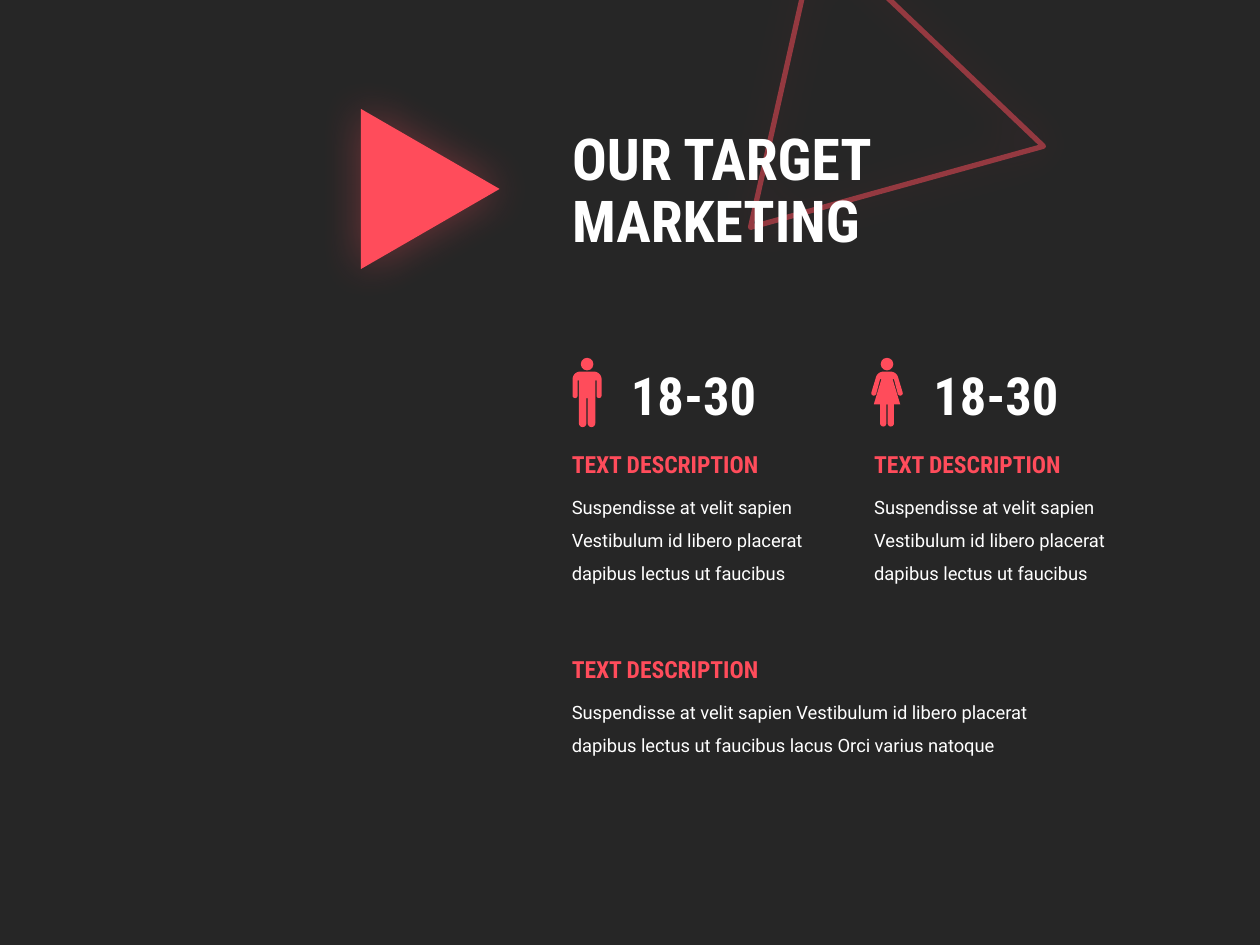
from copy import deepcopy
from math import cos, radians, sin

from lxml.etree import SubElement
from pptx import Presentation
from pptx.dml.color import RGBColor
from pptx.enum.shapes import MSO_SHAPE as Shape
from pptx.enum.text import MSO_ANCHOR as Anchor, PP_ALIGN as Align
from pptx.oxml.ns import qn
from pptx.util import Inches, Pt

CORAL = RGBColor(0xFF, 0x4C, 0x5B)
WHITE = RGBColor(0xFF, 0xFF, 0xFF)
CHARCOAL = RGBColor(0x26, 0x26, 0x26)
BODY_FONT = "Roboto"
HEADING_FONT = "Roboto Condensed"
COLUMNS = (4.44, 6.84)
ROWS = (3.52, 5.15)
AGE_TOP = 2.83
SUMMARY = "Suspendisse at velit sapien Vestibulum id libero placerat dapibus lectus ut faucibus"


def write(shape, text, size=10.5, font=BODY_FONT, color=WHITE, bold=False,
          spacing=1.0, anchor=Anchor.TOP):
    """Fill a shape with one formatted, left-aligned paragraph."""
    frame = shape.text_frame
    frame.word_wrap = True
    frame.vertical_anchor = anchor
    paragraph = frame.paragraphs[0]
    paragraph.text = text
    paragraph.alignment = Align.LEFT
    paragraph.line_spacing = spacing
    for run in paragraph.runs:
        run.font.size = Pt(size)
        run.font.name = font
        run.font.bold = bold
        run.font.color.rgb = color
    for line_break in paragraph._p.findall(qn("a:br")):
        line_break.insert(0, deepcopy(paragraph.runs[0]._r.rPr))


def add_text(slide, left, top, width, height, text, **text_format):
    """Add a text box measured in inches."""
    box = slide.shapes.add_textbox(*map(Inches, (left, top, width, height)))
    write(box, text, **text_format)


def add_section(slide, left, top, width, height, text):
    """Add a coral heading with its description below."""
    add_text(slide, left, top, 1.84, 0.33, "TEXT DESCRIPTION", size=13.5,
             font=HEADING_FONT, color=CORAL, bold=True)
    add_text(slide, left, top + 0.28, width, height, text, spacing=1.5)


def add_alpha(color, percent):
    """Give a colour element its opacity."""
    SubElement(color, qn("a:alpha"), val=str(percent * 1000))


def add_triangle(slide, left, top, width, height, rotation):
    """Add a rotated triangle with a coral glow."""
    triangle = slide.shapes.add_shape(
        Shape.ISOSCELES_TRIANGLE, *map(Inches, (left, top, width, height)))
    triangle.rotation = rotation
    triangle.shadow.inherit = False
    effects = triangle._element.spPr.find(qn("a:effectLst"))
    glow = SubElement(effects, qn("a:outerShdw"), blurRad=str(Pt(25)), dist="0",
                      dir="0", algn="ctr", rotWithShape="0")
    add_alpha(SubElement(glow, qn("a:srgbClr"), val=str(CORAL)), 35)
    return triangle


def paint(shape):
    """Fill a shape with flat coral."""
    shape.shadow.inherit = False
    shape.fill.solid()
    shape.fill.fore_color.rgb = CORAL
    shape.line.fill.background()


def arc(x, y, radius, start=0, end=180):
    """Return points along an arc, clockwise from the right."""
    angles = [radians(start + (end - start) * step / 8) for step in range(9)]
    return [(x + radius * cos(angle), y + radius * sin(angle)) for angle in angles]


def man_half():
    """Return the right half of the man's outline."""
    return [(0, 0), *arc(0.055, 0.06, 0.06, -90, 0), *arc(0.095, 0.19, 0.02),
            (0.075, 0.07), (0.065, 0.07), *arc(0.035, 0.41, 0.03),
            (0.005, 0.21), (0, 0.21)]


def woman_half():
    """Return the right half of the woman's outline."""
    return [(0, 0), *arc(0.03, 0.06, 0.06, -90, -20), *arc(0.105, 0.17, 0.02, -20, 160),
            (0.055, 0.06), (0.045, 0.06), (0.105, 0.26), (0.055, 0.26),
            *arc(0.03, 0.41, 0.025), (0.005, 0.26), (0, 0.26)]


def add_person(slide, center, half):
    """Add a grouped head and mirrored body."""
    group = slide.shapes.add_group_shape()
    paint(group.shapes.add_shape(
        Shape.OVAL, *map(Inches, (center - 0.05, AGE_TOP + 0.01, 0.1, 0.1))))
    outline = half + [(-x, y) for x, y in reversed(half)]
    points = [(Inches(center + x), Inches(AGE_TOP + 0.12 + y)) for x, y in outline]
    builder = group.shapes.build_freeform(*points[0])
    builder.add_line_segments(points[1:])
    paint(builder.convert_to_shape())


def main():
    """Build the target marketing slide."""
    presentation = Presentation()
    presentation.slide_width, presentation.slide_height = Inches(10), Inches(7.5)
    slide = presentation.slides.add_slide(presentation.slide_layouts[0])
    slide.background.fill.solid()
    slide.background.fill.fore_color.rgb = CHARCOAL
    title, subtitle = slide.placeholders
    subtitle._element.getparent().remove(subtitle._element)

    outline = add_triangle(slide, 5.43, 0.02, 2.48, 2.07, 223.6)
    outline.fill.background()
    outline.line.width = Pt(3)
    outline.line.color.rgb = CORAL
    add_alpha(outline.line._ln.find(".//" + qn("a:srgbClr")), 50)
    slide.shapes._spTree.append(title._element)
    title.left, title.top, title.width, title.height = map(
        Inches, (COLUMNS[0], 0.74, 4.22, 1.58))
    write(title, "OUR TARGET\vMARKETING", size=33, font=HEADING_FONT, bold=True,
          spacing=0.9, anchor=Anchor.MIDDLE)
    paint_target = add_triangle(slide, 2.78, 0.95, 1.27, 1.1, 90)
    paint_target.fill.solid()
    paint_target.fill.fore_color.rgb = CORAL
    paint_target.line.fill.background()

    people = ((4.66, man_half()), (7.04, woman_half()))
    for left, (center, half) in zip(COLUMNS, people):
        add_person(slide, center, half)
        add_text(slide, left + 0.47, AGE_TOP, 1.34, 0.61, "18-30", size=30,
                 font=HEADING_FONT, bold=True)
        add_section(slide, left, ROWS[0], 2.14, 0.87, SUMMARY)
    add_section(slide, COLUMNS[0], ROWS[1], 3.85, 0.6,
                SUMMARY + " lacus Orci varius natoque")
    presentation.save("out.pptx")


if __name__ == "__main__":
    main()
